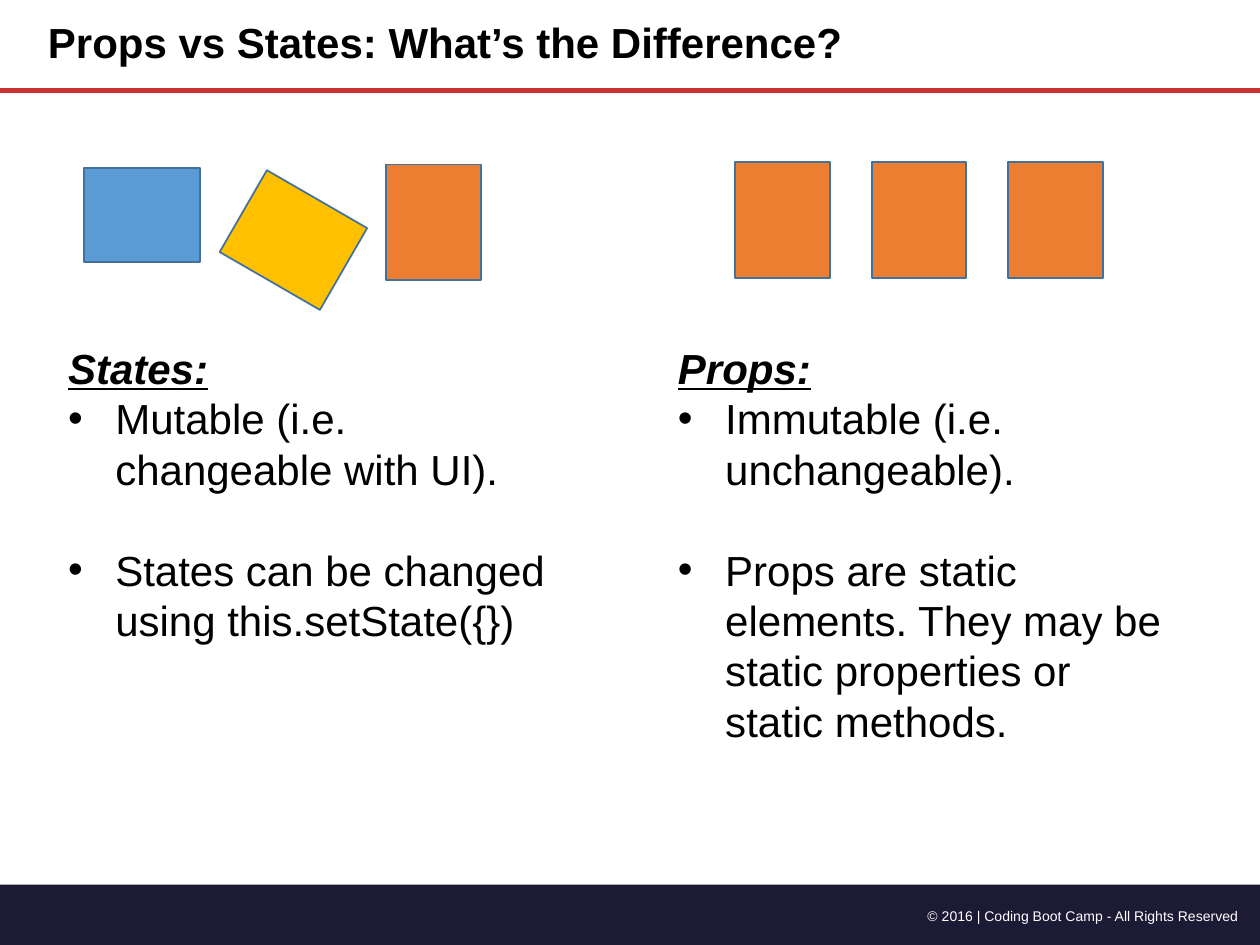
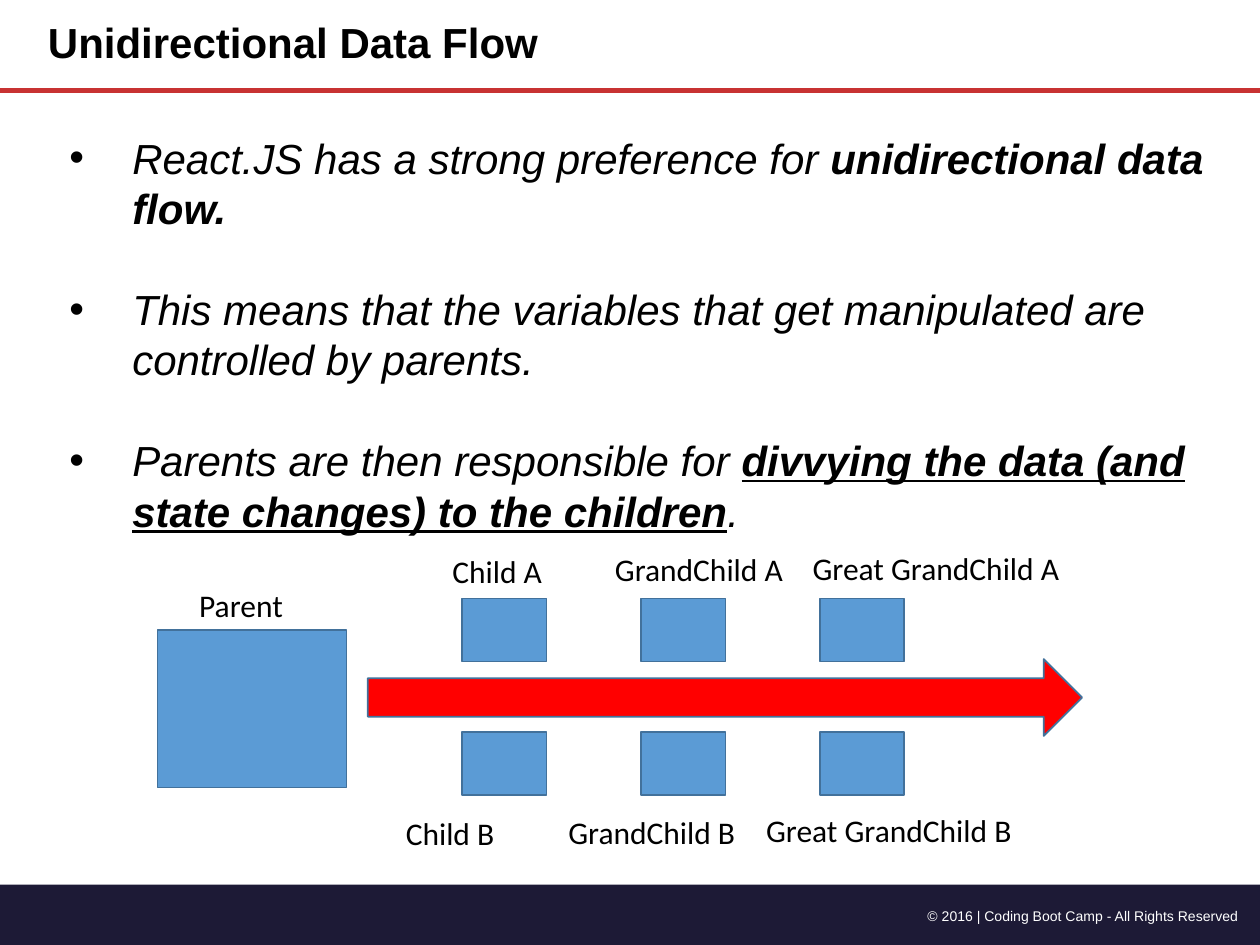
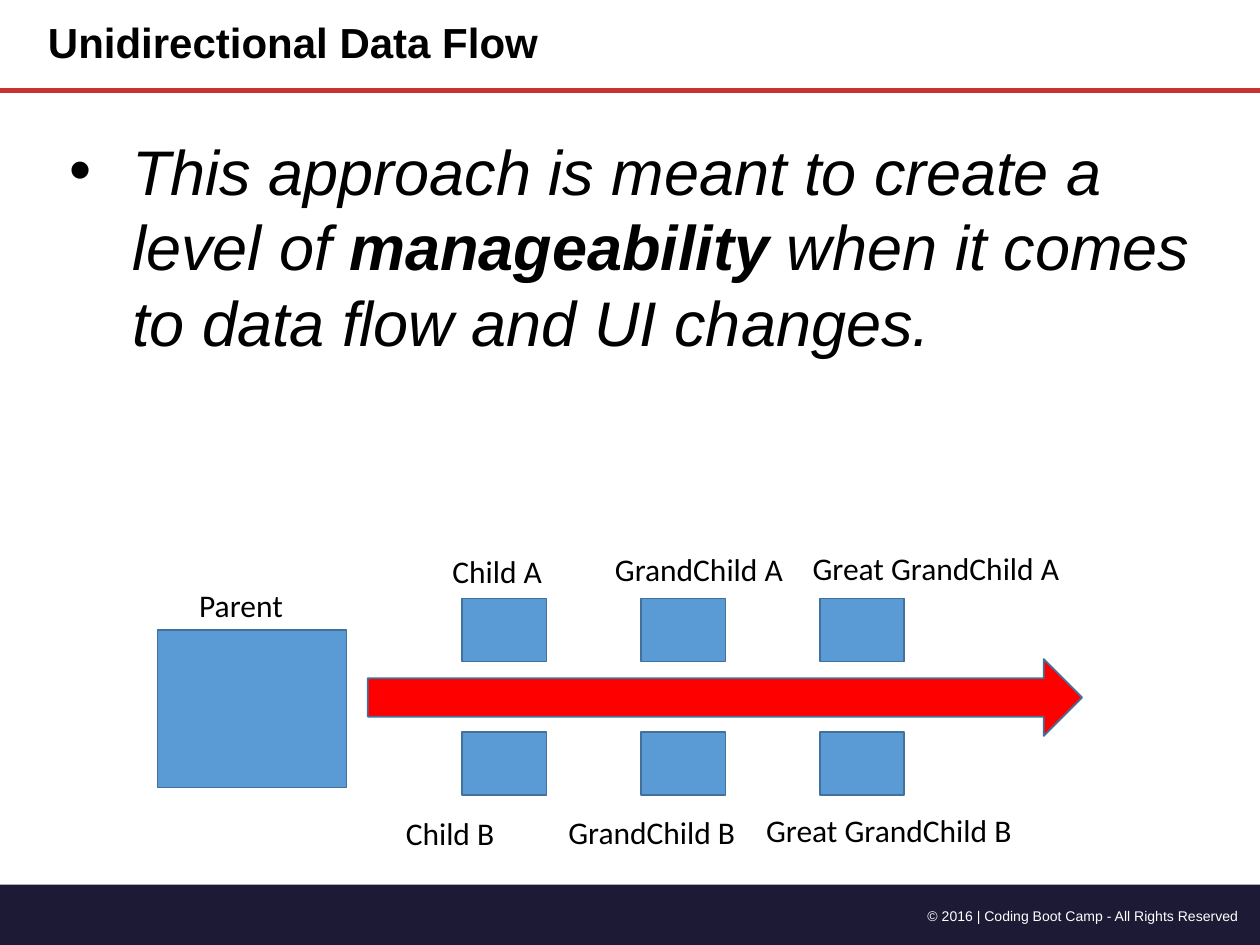
import pptx
import pptx.util
import pptx.dml.color
import pptx.enum.shapes
import pptx.enum.text
import pptx.oxml.ns
import lxml.etree

Pt = pptx.util.Pt
Color = pptx.dml.color.RGBColor
Shape = pptx.enum.shapes.MSO_SHAPE
Align = pptx.enum.text.PP_ALIGN
Anchor = pptx.enum.text.MSO_ANCHOR
qn = pptx.oxml.ns.qn

BLACK = Color(0x00, 0x00, 0x00)
WHITE = Color(0xFF, 0xFF, 0xFF)
NAVY = Color(0x1D, 0x1A, 0x36)
CRIMSON = Color(0xC8, 0x32, 0x32)
RED = Color(0xFF, 0x00, 0x00)
BLUE = Color(0x5B, 0x9B, 0xD5)
EDGE = Color(0x42, 0x71, 0x9B)
GOLD = Color(0xFF, 0xC0, 0x00)
ORANGE = Color(0xED, 0x7D, 0x31)


class Deck:
    """Holds the shared style and the current slide."""

    font = "Arial"
    inset = Pt(3.6)
    wide, high = 720, 540

    def __init__(self):
        self.prs = pptx.Presentation()
        self.prs.slide_width = Pt(self.wide)
        self.prs.slide_height = Pt(self.high)

    def page(self, title):
        """Start a slide with its title, rule and footer."""
        self.slide = self.prs.slides.add_slide(self.prs.slide_layouts[6])
        self.shape(0, 505.5, self.wide, 34.5, NAVY, edge=None)
        foot = self.box(491.8, 514.8, 219.6, 15.8)
        self.para(foot, [("© 2016 | Coding Boot Camp - All Rights Reserved", "")],
                  size=8, color=WHITE).alignment = Align.RIGHT
        self.rule(51.8)
        head = self.box(23.8, 0, 486, 51.8)
        head.vertical_anchor = Anchor.MIDDLE
        self.para(head, [(title, "b")]).line_spacing = 0.9

    def rule(self, y):
        """Draw a line across the slide."""
        line = self.slide.shapes.add_connector(
            pptx.enum.shapes.MSO_CONNECTOR.STRAIGHT, 0, Pt(y), Pt(self.wide), Pt(y))
        line.line.color.rgb = CRIMSON
        line.line.width = Pt(3.25)
        lxml.etree.SubElement(line._element.spPr, qn("a:effectLst"))

    def shape(self, x, y, w, h, fill, edge=EDGE, turn=0, kind=Shape.RECTANGLE):
        """Draw a filled preset shape."""
        item = self.slide.shapes.add_shape(kind, Pt(x), Pt(y), Pt(w), Pt(h))
        item.shadow.inherit = False
        item.rotation = turn
        item.fill.solid()
        item.fill.fore_color.rgb = fill
        if edge is None:
            item.line.fill.background()
        else:
            item.line.color.rgb = edge
            item.line.width = Pt(1)

    def box(self, x, y, w, h):
        """Add an empty text box and return its frame."""
        frame = self.slide.shapes.add_textbox(Pt(x), Pt(y), Pt(w), Pt(h)).text_frame
        frame.word_wrap = True
        frame.margin_left = frame.margin_right = self.inset
        frame.margin_top = frame.margin_bottom = self.inset
        return frame

    def para(self, frame, runs, size=24, color=BLACK, font=font):
        """Add a paragraph; each run is (text, flags from "biu")."""
        para = frame.paragraphs[0]
        if para.runs:
            para = frame.add_paragraph()
        for text, flags in runs:
            run = para.add_run()
            run.text = text
            run.font.name = font
            run.font.size = Pt(size)
            run.font.color.rgb = color
            run.font.bold = "b" in flags
            run.font.italic = "i" in flags
            run.font.underline = "u" in flags
        return para

    def points(self, frame, items, indent, size=24):
        """Add bullet points, one line apart."""
        for num, runs in enumerate(items):
            para = self.para(frame, runs, size)
            if num:
                para.space_before = Pt(size * 1.2)
            props = para._p.get_or_add_pPr()
            props.set("marL", str(Pt(indent)))
            props.set("indent", str(-Pt(indent)))
            lxml.etree.SubElement(props, qn("a:buFont")).set("typeface", self.font)
            lxml.etree.SubElement(props, qn("a:buChar")).set("char", "•")

    def label(self, x, y, w, text):
        """Add a caption of the family chart."""
        self.para(self.box(x, y, w, 28), [(text, "")], size=18, font="Calibri")

    def column(self, x, head, items):
        """Add an underlined heading with bullet points below."""
        frame = self.box(x, 192.2, 288.7, 230)
        self.para(frame, [(head, "biu")])
        self.points(frame, [[(text, "")] for text in items], 27)

    def family(self):
        """Draw the parent, the arrow and both rows of children."""
        self.shape(210.2, 376.6, 408.2, 43.9, RED, kind=Shape.RIGHT_ARROW)
        self.shape(90, 360, 108, 90, BLUE)
        self.label(110.2, 331.2, 62, "Parent")
        kin = [("Child", 254.9, 311.8, 67),
               ("GrandChild", 347.8, 311, 113),
               ("Great GrandChild", 460.8, 310.3, 164)]
        rows = [("A", 342, 0, 0), ("B", 418.3, -26.6, 149.8)]
        for mark, top, right, down in rows:
            for num, (name, x, y, w) in enumerate(kin):
                self.shape(264.2 + 102.2 * num, top, 48.2, 36, BLUE)
                self.label(x + right, y + down, w, f"{name} {mark}")


def main():
    deck = Deck()

    # Props and states
    deck.page("Props vs States: What’s the Difference?")
    deck.column(35.3, "States:", [
        "Mutable (i.e. changeable with UI).",
        "States can be changed using this.setState({})"])
    deck.column(383.8, "Props:", [
        "Immutable (i.e. unchangeable).",
        "Props are static elements. They may be static properties or static methods."])
    tiles = [(48.2, 95.8, BLUE, 0), (134.6, 110.2, GOLD, 30), (214.6, 100.1, ORANGE, 90)]
    tiles += [(414 + 78 * num, 98.6, ORANGE, 90) for num in range(3)]
    for x, y, fill, turn in tiles:
        deck.shape(x, y, 66.2, 54, fill, turn=turn)

    # Data flow, first the rule and then the reason
    flow = [
        (24, [
            [("React.JS has a strong preference for ", "i"),
             ("unidirectional data flow.", "bi")],
            [("This means that the variables that get manipulated are "
              "controlled by parents.", "i")],
            [("Parents are then responsible for ", "i"),
             ("divvying the data (and state changes) to the children", "biu"),
             (".", "i")]]),
        (36, [
            [("This approach is meant to create a level of ", "i"),
             ("manageability", "bi"),
             (" when it comes to data flow and UI changes.", "i")]]),
    ]
    for size, items in flow:
        deck.page("Unidirectional Data Flow")
        deck.points(deck.box(36, 72, 660.2, 240), items, 36, size)
        deck.family()

    deck.prs.save("out.pptx")


if __name__ == "__main__":
    main()
